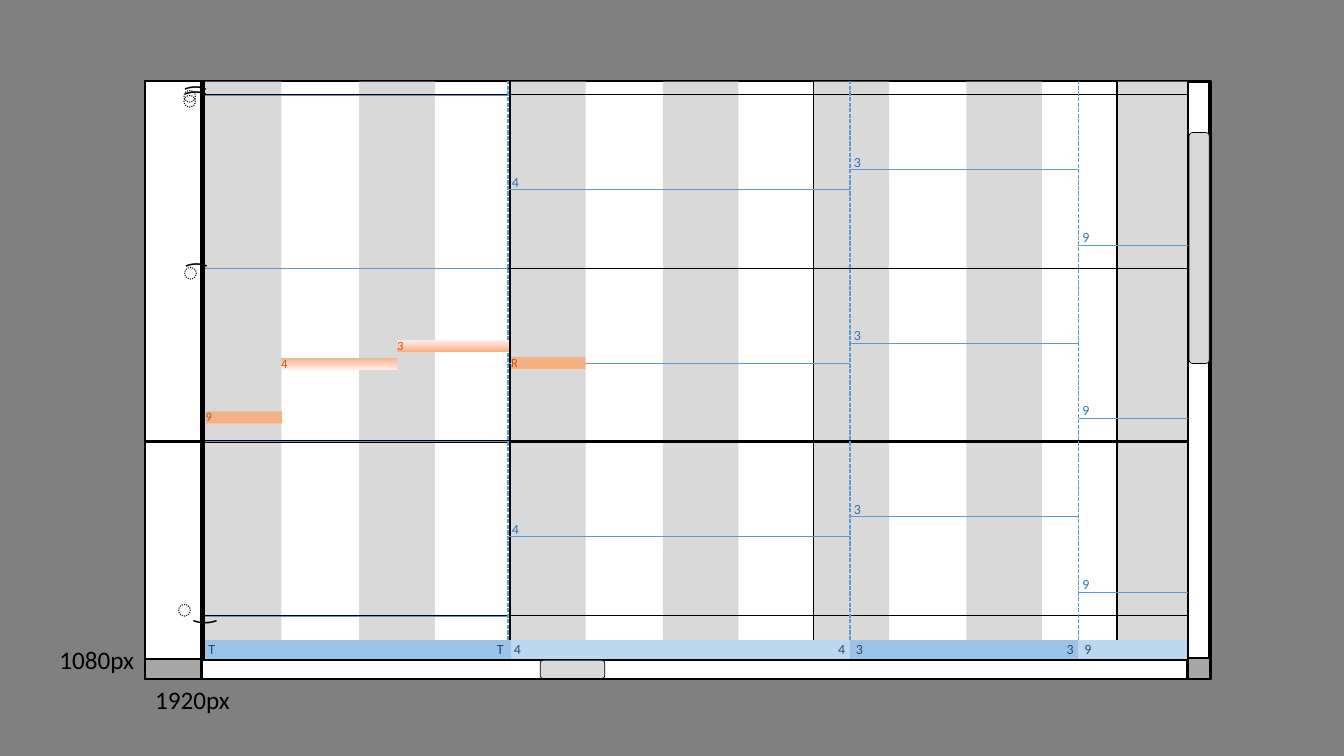
from dataclasses import dataclass
from itertools import product

from lxml.etree import SubElement
from pptx import Presentation
from pptx.dml.color import RGBColor
from pptx.enum.dml import MSO_LINE
from pptx.enum.shapes import MSO_CONNECTOR, MSO_SHAPE
from pptx.enum.text import MSO_ANCHOR, MSO_AUTO_SIZE, PP_ALIGN
from pptx.oxml.ns import qn
from pptx.util import Pt

BLACK, WHITE, GREY = "000000", "FFFFFF", "D9D9D9"
CORNER_GREY, BLUE, ORANGE = "A6A6A6", "5B9BD5", "F4B183"
DARK_STRIP, LIGHT_STRIP = "9DC3E6", "BDD7EE"
LABEL_BLUE, STRIP_TEXT, NOTE_TEXT = "2E75B6", "1F4E79", "C55A11"
NOTE_FADE = ((0, ORANGE), (51, "FFD0C2"), (100, "FFEFE7"))

ROLL_TOP, ROLL_BOTTOM, ROLL_RIGHT = 57.8, 470.9, 848.9
KEYS_LEFT, KEYS_RIGHT = 103.7, 144.7
STRIP_TOP, STRIP_HEIGHT = 457.2, 13.7
OCTAVE = 123.9
FIRST_BAR, BAR, BEAT_PAIR = 147.5, 216.8, 109.1


@dataclass(frozen=True)
class Box:
    """A filled rectangle, in points."""
    left: float
    top: float
    width: float
    height: float
    fill: str
    line_width: float = 0
    rounded: bool = False


@dataclass(frozen=True)
class Section:
    """A chord span: its strip, its pitch lines and its label."""
    name: str
    left: float
    right: float
    pitch_top: float
    strip: str
    closing_label: bool = True
    labelled_octaves: tuple = (0, 1, 2)


@dataclass(frozen=True)
class Note:
    """A played note; a gradient angle of None means a solid fill."""
    name: str
    left: float
    top: float
    width: float
    angle: int | None = None


def colour(value: str) -> RGBColor:
    """Turn a hex string into a colour."""
    return RGBColor.from_string(value)


def draw_box(box: Box):
    """Draw a rectangle and return its shape."""
    kind = MSO_SHAPE.ROUNDED_RECTANGLE if box.rounded else MSO_SHAPE.RECTANGLE
    shape = slide.shapes.add_shape(
        kind, Pt(box.left), Pt(box.top), Pt(box.width), Pt(box.height))
    shape.shadow.inherit = False
    shape.fill.solid()
    shape.fill.fore_color.rgb = colour(box.fill)
    if box.line_width:
        shape.line.color.rgb = colour(BLACK)
        shape.line.width = Pt(box.line_width)
    else:
        shape.line.fill.background()
    return shape


def draw_line(x1: float, y1: float, x2: float, y2: float,
              hex_colour: str = BLACK, width: float = 0.5, dashed: bool = False) -> None:
    """Draw a straight line without a shadow."""
    line = slide.shapes.add_connector(
        MSO_CONNECTOR.STRAIGHT, Pt(x1), Pt(y1), Pt(x2), Pt(y2))
    line.line.color.rgb = colour(hex_colour)
    line.line.width = Pt(width)
    if dashed:
        line.line.dash_style = MSO_LINE.SQUARE_DOT
    SubElement(line._element.spPr, qn("a:effectLst"))


def draw_text(text: str, left: float, top: float, width: float = 15.8,
              height: float = 19.4, *, size: float = 10, hex_colour: str = BLACK,
              wrap: bool = True, centred: bool = False, inset: float = 7.2) -> None:
    """Draw one line of text in a box that fits it."""
    text_box = slide.shapes.add_textbox(Pt(left), Pt(top), Pt(width), Pt(height))
    frame = text_box.text_frame
    frame.word_wrap = wrap
    frame.auto_size = MSO_AUTO_SIZE.SHAPE_TO_FIT_TEXT
    frame.margin_left = frame.margin_right = Pt(inset)
    paragraph = frame.paragraphs[0]
    if centred:
        frame.vertical_anchor = MSO_ANCHOR.MIDDLE
        paragraph.alignment = PP_ALIGN.CENTER
    run = paragraph.add_run()
    run.text = text
    run.font.name = "Calibri"
    run.font.size = Pt(size)
    run.font.color.rgb = colour(hex_colour)


def fade(shape, angle: int) -> None:
    """Give a shape the three-stop note gradient."""
    shape.fill.gradient()
    shape.fill.gradient_angle = angle
    stops = shape._element.spPr.find(".//" + qn("a:gsLst"))
    for stop in list(stops):
        stops.remove(stop)
    for position, value in NOTE_FADE:
        stop = SubElement(stops, qn("a:gs"), pos=str(position * 1000))
        SubElement(stop, qn("a:srgbClr"), val=value)


def draw_note(note: Note) -> None:
    """Draw a note bar with its name at the left end."""
    shape = draw_box(Box(note.left, note.top, note.width, 8.6, ORANGE))
    if note.angle is not None:
        fade(shape, note.angle)
    draw_text(note.name, note.left, note.top - 5, 5, 18,
              size=9, hex_colour=NOTE_TEXT, inset=0)


def draw_section(section: Section) -> None:
    """Draw the pitch lines and labels of a chord section."""
    for octave in range(3):
        y = section.pitch_top + octave * OCTAVE
        draw_line(section.left, y, section.right, y, BLUE)
        if octave in section.labelled_octaves:
            draw_text(section.name, section.left - 4.4, y - 15.3, hex_colour=LABEL_BLUE)


presentation = Presentation()
presentation.slide_width, presentation.slide_height = Pt(960), Pt(540)
slide = presentation.slides.add_slide(presentation.slide_layouts[6])

SECTIONS = (
    Section("4", 363, 607.2, 135.4, LIGHT_STRIP, labelled_octaves=(0, 2)),
    Section("3", 607.2, 770.4, 121.3, DARK_STRIP),
    Section("9", 770.4, ROLL_RIGHT, 175, LIGHT_STRIP, closing_label=False),
)
NOTES = (
    Note("9", 146.9, 293.8, 54.5),
    Note("4", 200.9, 255.6, 82.8, angle=270),
    Note("3", 283.7, 242.6, 79.9, angle=90),
    Note("R", 365.2, 254.9, 53),
)
SCROLLBARS = (
    Box(144, 471.6, 704.2, 13.7, WHITE, 1.5),
    Box(385.9, 471.6, 46.1, 13, GREY, 0.5, True),
    Box(ROLL_RIGHT, 58.3, 15.1, 411.8, WHITE, 1.5),
    Box(849.4, 94.7, 14.4, 164.9, GREY, 0.5, True),
    Box(KEYS_LEFT, 470.9, 39.6, 14.4, CORNER_GREY, 1.5),
    Box(ROLL_RIGHT, 470.2, 15.8, 15.1, CORNER_GREY, 1.5),
)

# Backdrop, beat bands and bar lines
draw_box(Box(0, 0, 960, 540, "808080"))
draw_box(Box(KEYS_LEFT, 57.6, 761, 427.7, WHITE, 1.5))
draw_box(Box(KEYS_RIGHT, 58.3, 56.4, 411.8, GREY))
for bar, offset in list(product(range(4), (0, BEAT_PAIR)))[1:7]:
    draw_box(Box(FIRST_BAR + bar * BAR + offset, 58.3, 54, 411.8, GREY))
for bar in range(1, 4):
    x = FIRST_BAR + bar * BAR
    draw_line(x, ROLL_TOP, x, ROLL_BOTTOM, width=1)

# Chord strip
draw_box(Box(144, STRIP_TOP, 221, STRIP_HEIGHT, DARK_STRIP))
for section in SECTIONS:
    left = max(section.left, 365)
    draw_box(Box(left, STRIP_TOP, section.right - left, STRIP_HEIGHT, section.strip))

# Octave lines, keyboard edge and scrollbars
for octave in range(4):
    y = 67.7 + octave * OCTAVE
    middle = octave == 2
    draw_line(KEYS_LEFT if middle else KEYS_RIGHT, y, ROLL_RIGHT, y,
              width=2.25 if middle else 0.5)
draw_line(KEYS_RIGHT, ROLL_TOP, KEYS_RIGHT, ROLL_BOTTOM, width=3.75)
for box in SCROLLBARS:
    draw_box(box)

# Sections, tonic lines and notes
for section in SECTIONS:
    draw_line(section.left, STRIP_TOP, section.left, ROLL_TOP, BLUE, 1, dashed=True)
for y in (68.4, 191.6, 315.4, 440.6):
    draw_line(146.2, y, 363.2, y, BLUE)
for section in SECTIONS:
    draw_section(section)
    draw_text(section.name, section.left - 3, 454.3, hex_colour=STRIP_TEXT)
    if section.closing_label:
        draw_text(section.name, section.right - 15.6, 454.3, hex_colour=STRIP_TEXT)
for x in (141.8, 347.8):
    draw_text("T", x, 454.3, hex_colour=STRIP_TEXT)
for note in NOTES:
    draw_note(note)

# Key ties and size labels
for tie, left, top, width in (("\u0361", 123.1, 53.3, 15.8), ("\u0361", 123.1, 56.9, 15.8),
                              ("\u0361", 123.8, 179.3, 15.8), ("\u035c", 117.4, 420.5, 28.8)):
    draw_text(tie, left, top, width, 28.8, size=18, centred=True)
for label, left, top in (("1920px", 103.7, 485.3), ("1080px", 35.3, 456.5)):
    draw_text(label, left, top, 68.4, 28.8, size=18, wrap=False)

presentation.save("out.pptx")
